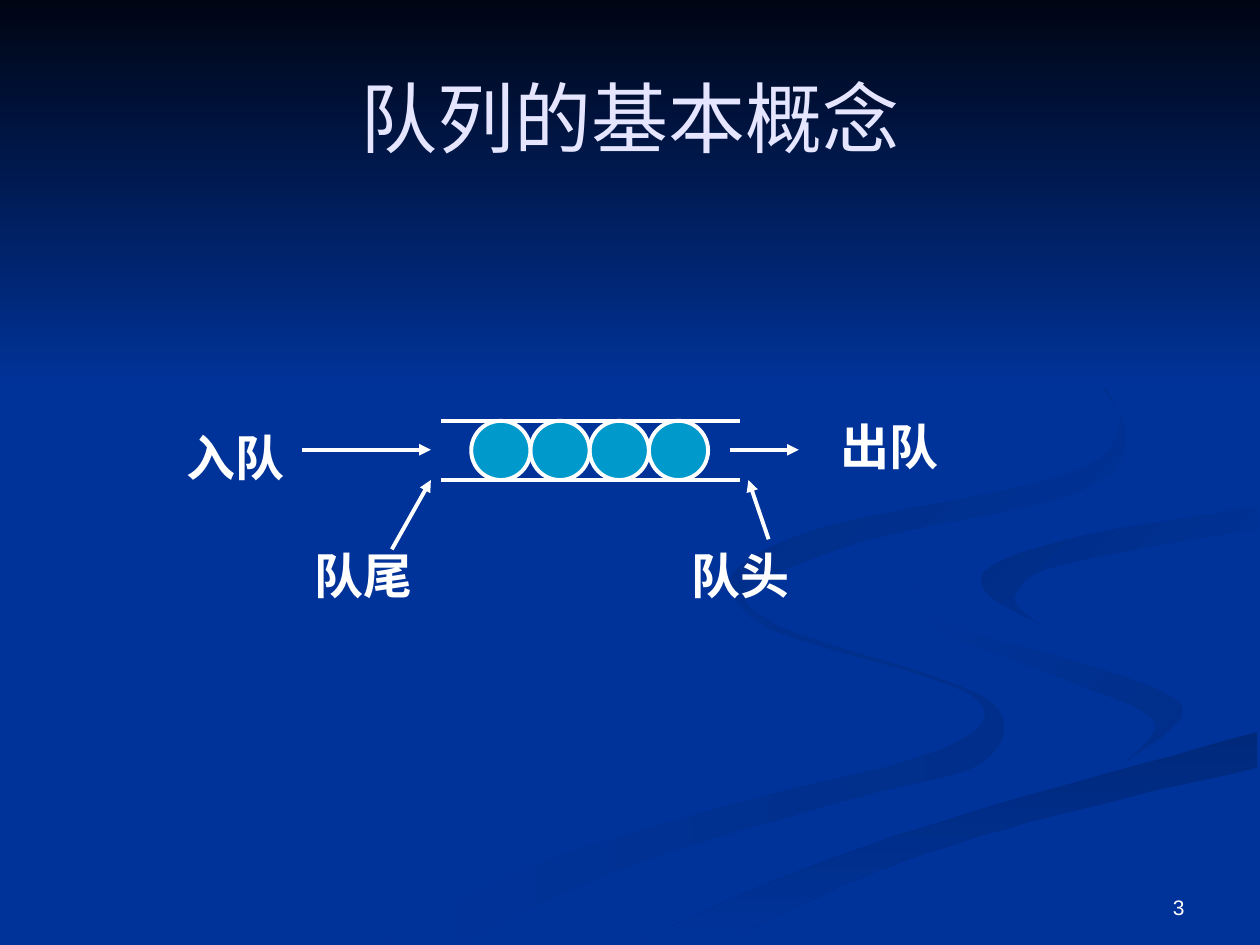
"""Builds the slide on the basic concept of a queue."""
from dataclasses import dataclass

from lxml.etree import SubElement
from pptx import Presentation
from pptx.dml.color import RGBColor
from pptx.enum.shapes import MSO_CONNECTOR, MSO_SHAPE
from pptx.enum.text import MSO_ANCHOR, PP_ALIGN
from pptx.oxml.ns import qn
from pptx.slide import Slide
from pptx.util import Pt

PX = 9144
NAVY, WHITE, CYAN = "003399", "FFFFFF", "0099CC"
LINE_WIDTH = Pt(2.25)
CURVE_STEPS = 6
LANE_TOP, LANE_BOTTOM, LANE_MIDDLE = 334, 381, 357
ITEM_LEFT, ITEM_SIZE, ITEM_COUNT = 374, 47, 4

Point = tuple[int, int]


@dataclass
class Ribbon:
    """An area between two smooth edges, with a gradient."""
    outward: list[Point]
    back: list[Point]
    start: str
    end: str
    angle: int


@dataclass
class Label:
    """A text box with a single line."""
    text: str
    left: int
    top: int
    width: int
    height: int = 57
    size: int = 28
    color: str = WHITE
    font: str = "Times New Roman"
    bold: bool = True
    align: PP_ALIGN = PP_ALIGN.LEFT
    anchor: MSO_ANCHOR = MSO_ANCHOR.TOP
    space_before: float = 17.5


@dataclass
class Stroke:
    """A straight line, with or without an arrowhead at its end."""
    start: Point
    end: Point
    arrow: bool = True


RIBBONS = [
    Ribbon([(575, 459), (611, 499), (770, 551), (749, 594), (579, 639), (417, 690), (300, 749)],
           [(361, 749), (499, 687), (676, 634), (780, 605), (781, 553), (614, 496), (575, 459)],
           "002E8A", NAVY, 180),
    Ribbon([(724, 464), (758, 498), (870, 530), (939, 562), (894, 605)],
           [(894, 605), (915, 571), (838, 536), (746, 500), (724, 464)],
           "002E8A", NAVY, 225),
    Ribbon([(503, 749), (630, 693), (764, 647), (998, 581)],
           [(998, 609), (821, 651), (695, 692), (571, 749)],
           "00297C", NAVY, 90),
    Ribbon([(998, 402), (865, 424), (791, 447), (782, 469), (826, 496)],
           [(826, 496), (805, 474), (843, 448), (998, 420)],
           NAVY, "002C85", 225),
    Ribbon([(762, 233), (846, 279), (889, 335), (842, 378), (649, 420), (578, 462), (622, 500)],
           [(622, 500), (593, 470), (683, 430), (855, 391), (894, 344), (843, 275), (762, 233)],
           NAVY, "002B81", 225),
    Ribbon([(0, 0), (1000, 0)], [(1000, 308), (0, 308)], "000514", NAVY, 90),
]

STROKES = [
    Stroke((350, LANE_TOP), (587, LANE_TOP), arrow=False),
    Stroke((350, LANE_BOTTOM), (587, LANE_BOTTOM), arrow=False),
    Stroke((579, LANE_MIDDLE), (634, LANE_MIDDLE)),
    Stroke((240, LANE_MIDDLE), (342, LANE_MIDDLE)),
    Stroke((311, 436), (342, LANE_BOTTOM)),
    Stroke((610, 428), (594, LANE_BOTTOM)),
]

LABELS = [
    Label("队列的基本概念", 50, 30, 900, 125, 44, "E5E5FF", bold=False,
          align=PP_ALIGN.CENTER, anchor=MSO_ANCHOR.MIDDLE, space_before=0),
    Label("出队", 657, 326, 134),
    Label("入队", 138, 334, 102),
    Label("队尾", 240, 428, 142),
    Label("队头", 539, 428, 110),
    Label("3", 717, 683, 233, 52, 12, font="Arial", bold=False,
          align=PP_ALIGN.RIGHT, anchor=MSO_ANCHOR.BOTTOM, space_before=0),
]


def rgb(value: str) -> RGBColor:
    """Turn a hex string into a colour."""
    return RGBColor.from_string(value)


def blend(a: int, b: int, c: int, d: int, t: float) -> float:
    """Interpolate from b to c on a Catmull-Rom curve."""
    return b + t / 2 * (c - a + t * (2 * a - 5 * b + 4 * c - d + t * (3 * (b - c) + d - a)))


def smooth(points: list[Point]) -> list[tuple[float, float]]:
    """Lay a smooth curve through all points."""
    padded = [points[0], *points, points[-1]]
    curve = [
        tuple(blend(*axis, step / CURVE_STEPS) for axis in zip(*padded[i:i + 4]))
        for i in range(len(points) - 1)
        for step in range(CURVE_STEPS)
    ]
    return [*curve, points[-1]]


def draw_ribbon(page: Slide, ribbon: Ribbon) -> None:
    """Draw a closed outline without a border."""
    outline = smooth(ribbon.outward) + smooth(ribbon.back)
    builder = page.shapes.build_freeform(*ribbon.outward[0], scale=float(PX))
    builder.add_line_segments(outline[1:], close=True)
    shape = builder.convert_to_shape()
    shape.shadow.inherit = False
    shape.line.fill.background()
    shape.fill.gradient()
    shape.fill.gradient_angle = 360 - ribbon.angle
    for stop, color, position in zip(shape.fill.gradient_stops, (ribbon.start, ribbon.end), (0, 1)):
        stop.color.rgb = rgb(color)
        stop.position = position


def draw_item(page: Slide, index: int) -> None:
    """Draw one element waiting in the queue."""
    left = ITEM_LEFT + index * ITEM_SIZE
    item = page.shapes.add_shape(MSO_SHAPE.OVAL, left * PX, LANE_TOP * PX,
                                 ITEM_SIZE * PX, ITEM_SIZE * PX)
    item.shadow.inherit = False
    item.fill.solid()
    item.fill.fore_color.rgb = rgb(CYAN)
    item.line.color.rgb = rgb(WHITE)
    item.line.width = LINE_WIDTH


def draw_stroke(page: Slide, stroke: Stroke) -> None:
    """Draw a white line or arrow."""
    ends = [length * PX for length in (*stroke.start, *stroke.end)]
    connector = page.shapes.add_connector(MSO_CONNECTOR.STRAIGHT, *ends)
    connector.line.color.rgb = rgb(WHITE)
    connector.line.width = LINE_WIDTH
    properties = connector._element.spPr
    if stroke.arrow:
        SubElement(properties.find(qn("a:ln")), qn("a:tailEnd"), type="triangle")
    SubElement(properties, qn("a:effectLst"))


def draw_label(page: Slide, label: Label) -> None:
    """Write one line of text in a box."""
    box = page.shapes.add_textbox(label.left * PX, label.top * PX,
                                  label.width * PX, label.height * PX)
    frame = box.text_frame
    frame.word_wrap = True
    frame.vertical_anchor = label.anchor
    para = frame.paragraphs[0]
    para.alignment = label.align
    para.space_before = Pt(label.space_before)
    span = para.add_run()
    span.text = label.text
    span.font.name = label.font
    span.font.size = Pt(label.size)
    span.font.bold = label.bold
    span.font.color.rgb = rgb(label.color)


def main() -> None:
    """Build the deck and save it."""
    deck = Presentation()
    deck.slide_width, deck.slide_height = 1000 * PX, 750 * PX
    page = deck.slides.add_slide(deck.slide_layouts[6])
    page.background.fill.solid()
    page.background.fill.fore_color.rgb = rgb(NAVY)
    for ribbon in RIBBONS:
        draw_ribbon(page, ribbon)
    for index in reversed(range(ITEM_COUNT)):
        draw_item(page, index)
    for stroke in STROKES:
        draw_stroke(page, stroke)
    for label in LABELS:
        draw_label(page, label)
    deck.save("out.pptx")


if __name__ == "__main__":
    main()
